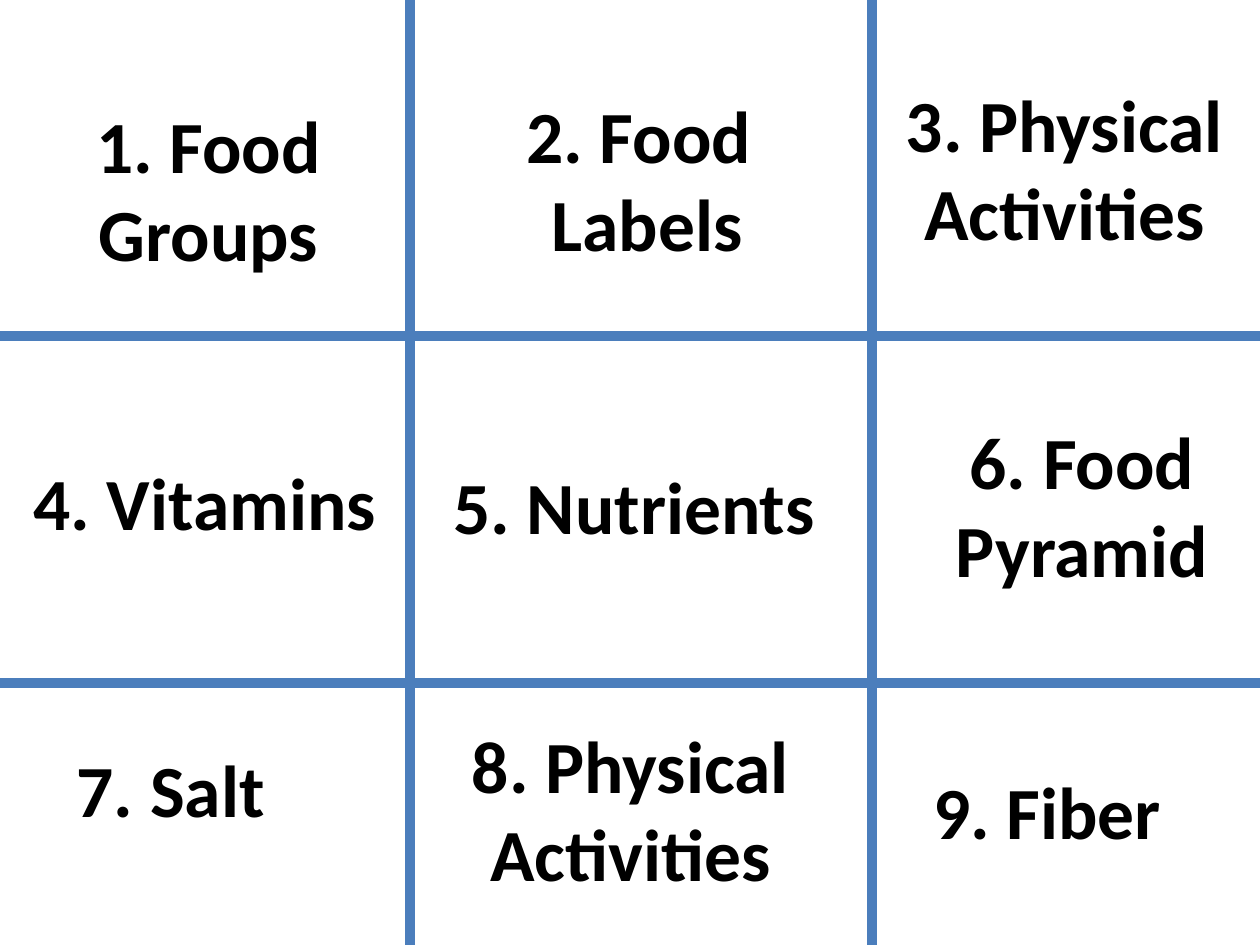
from pptx import Presentation
from pptx.dml.color import RGBColor
from pptx.enum.shapes import MSO_CONNECTOR
from pptx.enum.text import MSO_AUTO_SIZE, PP_ALIGN
from pptx.oxml.ns import qn
from pptx.util import Emu, Pt
from lxml.etree import SubElement

BLUE = RGBColor(0x4B, 0x7E, 0xBC)
BLACK = RGBColor(0, 0, 0)
WIDTH, HEIGHT = 1260, 945
ONE_LINE, TWO_LINES = 102, 190
COLUMN_EDGES = (410, 872)
ROW_EDGES = (336, 683)

# left, top, width, height, paragraphs, alignment, wrap
TOPICS = [
    (63, 94, 291, TWO_LINES, ["1. Food Groups"], PP_ALIGN.CENTER, True),
    (512, 84, 270, TWO_LINES, ["2. Food ", "Labels"], PP_ALIGN.CENTER, False),
    (847, 73, 435, TWO_LINES, ["3. Physical Activities"], PP_ALIGN.CENTER, True),
    (21, 451, 372, ONE_LINE, ["4. Vitamins"], PP_ALIGN.LEFT, False),
    (441, 455, 391, ONE_LINE, ["5. Nutrients"], PP_ALIGN.LEFT, False),
    (935, 410, 294, TWO_LINES, ["6. Food Pyramid"], PP_ALIGN.CENTER, True),
    (63, 738, 232, ONE_LINE, ["7. Salt "], PP_ALIGN.CENTER, False),
    (431, 714, 399, TWO_LINES, ["8. Physical Activities"], PP_ALIGN.CENTER, True),
    (921, 760, 256, ONE_LINE, ["9. Fiber"], PP_ALIGN.LEFT, False),
]


def px(n):
    return Emu(round(n * 914400 / 126))


class Board:
    """Holds the style and the slide being drawn."""
    font = "Calibri"
    size = Pt(42)
    line_width = Pt(6)

    def __init__(self, slide):
        self.slide = slide

    def line(self, x1, y1, x2, y2):
        c = self.slide.shapes.add_connector(
            MSO_CONNECTOR.STRAIGHT, px(x1), px(y1), px(x2), px(y2))
        c.line.color.rgb = BLUE
        c.line.width = self.line_width
        SubElement(c._element.spPr, qn("a:effectLst"))

    def label(self, x, y, w, h, paragraphs, align, wrap):
        sp = self.slide.shapes.add_textbox(px(x), px(y), px(w), px(h))
        tf = sp.text_frame
        tf.word_wrap = wrap
        tf.auto_size = MSO_AUTO_SIZE.SHAPE_TO_FIT_TEXT
        for i, text in enumerate(paragraphs):
            p = tf.add_paragraph() if i else tf.paragraphs[0]
            p.alignment = align
            r = p.add_run()
            r.text = text
            r.font.name = self.font
            r.font.size = self.size
            r.font.bold = True
            r.font.color.rgb = BLACK


def main():
    prs = Presentation()
    prs.slide_width, prs.slide_height = px(WIDTH), px(HEIGHT)
    board = Board(prs.slides.add_slide(prs.slide_layouts[6]))
    for x in COLUMN_EDGES:
        board.line(x, 0, x, HEIGHT)
    for y in ROW_EDGES:
        board.line(0, y, WIDTH, y)
    for topic in TOPICS:
        board.label(*topic)
    prs.save("out.pptx")


if __name__ == "__main__":
    main()
